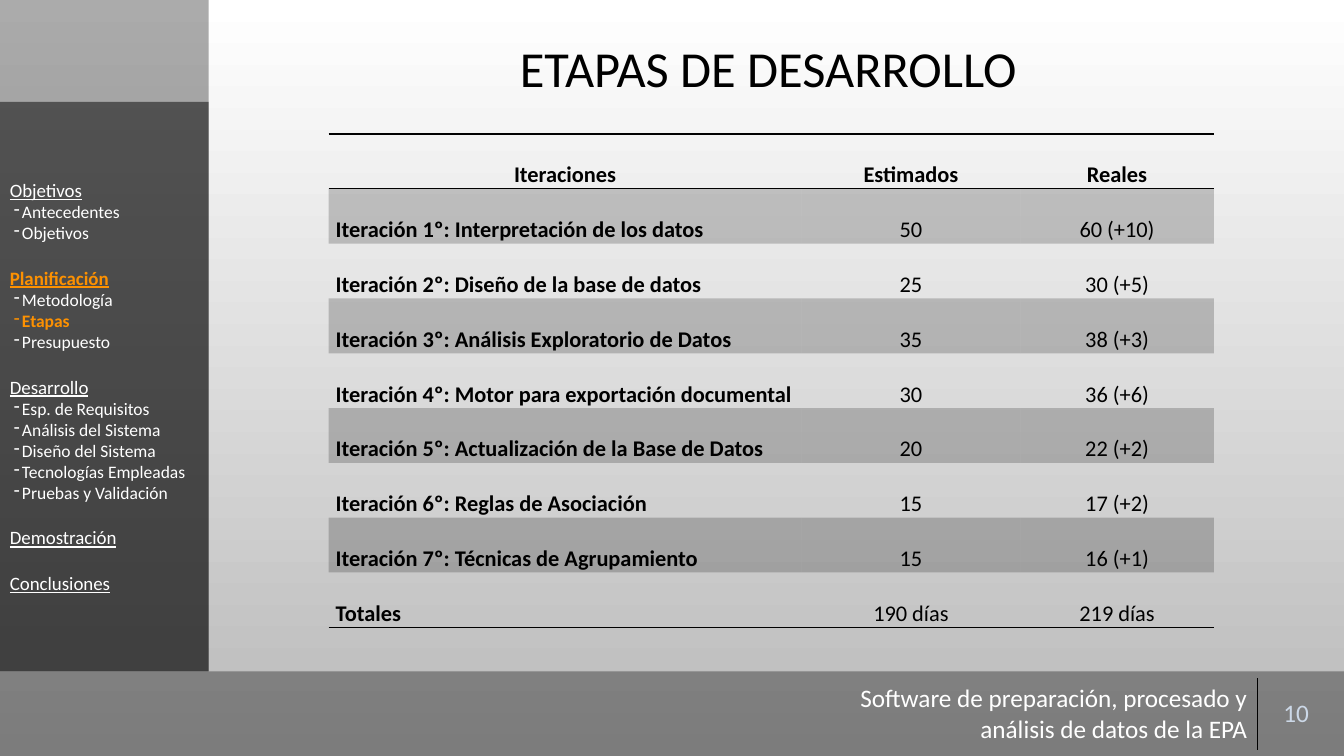
import pptx
import pptx.dml.color
import pptx.enum.shapes
import pptx.enum.text
import pptx.oxml
import pptx.oxml.ns
import pptx.util
from lxml import etree

Inches = pptx.util.Inches
Pt = pptx.util.Pt
ALIGN = pptx.enum.text.PP_ALIGN
MIDDLE = pptx.enum.text.MSO_ANCHOR.MIDDLE
TOP = pptx.enum.text.MSO_ANCHOR.TOP
qn = pptx.oxml.ns.qn

COLOURS = {
    "ink": "000000",
    "light": "FFFFFF",
    "shade": "B9B9B9",
    "active": "FD9101",
    "number": "CCD8E7",
}
FONT = "Calibri"
PLAIN_TABLE = "{2D5ABB26-0587-4C30-8999-92F81FD0307C}"
HEADING_SIZE, ENTRY_SIZE = 13.5, 12.5
SECTION_GAP = 16.5

MENU = {
    "Objetivos": ["Antecedentes", "Objetivos"],
    "Planificación": ["Metodología", "Etapas", "Presupuesto"],
    "Desarrollo": ["Esp. de Requisitos", "Análisis del Sistema", "Diseño del Sistema",
                   "Tecnologías Empleadas", "Pruebas y Validación"],
    "Demostración": [],
    "Conclusiones": [],
}
ACTIVE = ("Planificación", "Etapas")

STAGES = [
    ("Iteraciones", "Estimados", "Reales"),
    ("Iteración 1º: Interpretación de los datos", "50", "60 (+10)"),
    ("Iteración 2º: Diseño de la base de datos", "25", "30 (+5)"),
    ("Iteración 3º: Análisis Exploratorio de Datos", "35", "38 (+3)"),
    ("Iteración 4º: Motor para exportación documental", "30", "36 (+6)"),
    ("Iteración 5º: Actualización de la Base de Datos", "20", "22 (+2)"),
    ("Iteración 6º: Reglas de Asociación", "15", "17 (+2)"),
    ("Iteración 7º: Técnicas de Agrupamiento", "15", "16 (+1)"),
    ("Totales", "190 días", "219 días"),
]


def rgb(name):
    return pptx.dml.color.RGBColor.from_string(COLOURS[name])


def write(para, text, size=16, colour="ink", bold=False, underline=False,
          align=ALIGN.LEFT, spacing=None, before=None, bullet=None):
    if bullet:
        properties = para._p.get_or_add_pPr()
        properties.set("marL", str(Inches(0.12)))
        properties.set("indent", str(Inches(-0.08)))
        etree.SubElement(properties, qn("a:buChar")).set("char", bullet)
    para.alignment = align
    if spacing:
        para.line_spacing = spacing
    if before:
        para.space_before = Pt(before)
    span = para.add_run()
    span.text = text
    span.font.name = FONT
    span.font.size = Pt(size)
    span.font.bold = bold
    span.font.underline = underline
    span.font.color.rgb = rgb(colour)


def fill_veil(fill, holder, percent):
    """Fill with black at the given opacity; holder is the XML parent of the fill."""
    fill.solid()
    fill.fore_color.rgb = rgb("ink")
    colour = holder.find(qn("a:solidFill")).find(qn("a:srgbClr"))
    etree.SubElement(colour, qn("a:alpha")).set("val", str(percent * 1000))


def add_veil(page, box, percent):
    left, top, width, height = map(Inches, box)
    panel = page.shapes.add_shape(
        pptx.enum.shapes.MSO_SHAPE.RECTANGLE, left, top, width, height)
    panel.shadow.inherit = False
    panel.line.fill.background()
    fill_veil(panel.fill, panel._element.spPr, percent)
    return panel


def add_plain_table(page, box, rows, widths):
    left, top, width, height = map(Inches, box)
    table = page.shapes.add_table(rows, len(widths), left, top, width, height).table
    table.first_row = False
    table.horz_banding = False
    table._tbl.tblPr.find(qn("a:tableStyleId")).text = PLAIN_TABLE
    for column, column_width in zip(table.columns, widths):
        column.width = Inches(column_width)
    for row in table.rows:
        row.height = Inches(box[3] / rows)
    return table


def rule_cell(cell, sides):
    """Draw 1 pt lines on the sides named, in the order L, R, T, B."""
    properties = cell._tc.get_or_add_tcPr()
    for side in sides:
        line = etree.SubElement(properties, qn("a:ln" + side))
        line.set("w", str(Pt(1)))
        solid = etree.SubElement(line, qn("a:solidFill"))
        etree.SubElement(solid, qn("a:srgbClr")).set("val", COLOURS["ink"])


def set_background(page):
    fill = page.background.fill
    fill.gradient()
    fill.gradient_angle = 270
    for stop, position, colour in zip(fill.gradient_stops, (0, 1), ("light", "shade")):
        stop.position = position
        stop.color.rgb = rgb(colour)


def add_title(page, box, text):
    title = page.shapes.title
    title.left, title.top, title.width, title.height = map(Inches, box)
    title.text_frame.vertical_anchor = MIDDLE
    write(title.text_frame.paragraphs[0], text, size=36, align=ALIGN.CENTER, spacing=0.9)


def add_stage_table(page, box):
    table = add_plain_table(page, box, len(STAGES), (4.69, 2.17, 1.92))
    last = len(STAGES) - 1
    for row, values in enumerate(STAGES):
        for column, value in enumerate(values):
            cell = table.cell(row, column)
            cell.margin_left = cell.margin_right = Inches(0.07)
            cell.margin_top = cell.margin_bottom = 0
            cell.vertical_anchor = TOP
            rule_cell(cell, "TB" if row == 0 else "B" if row == last else "")
            if row % 2:
                fill_veil(cell.fill, cell._tc.tcPr, 20)
            else:
                cell.fill.background()
            is_label = row > 0 and column == 0
            write(cell.text_frame.paragraphs[0], value, bold=row == 0 or column == 0,
                  align=ALIGN.LEFT if is_label else ALIGN.CENTER, spacing=2.0)


def add_footer(page, box):
    left, top, width, height = box
    add_veil(page, box, 33)
    table_width = 4.85
    table_box = (left + width - table_width - 0.09, top + 0.07, table_width, height - 0.14)
    table = add_plain_table(page, table_box, 1, (4.08, 0.77))
    parts = [
        ("Software de preparación, procesado y análisis de datos de la EPA",
         "light", ALIGN.RIGHT, "R"),
        ("10", "number", ALIGN.CENTER, "L"),
    ]
    for column, (text, colour, align, side) in enumerate(parts):
        cell = table.cell(0, column)
        cell.vertical_anchor = MIDDLE
        rule_cell(cell, side)
        cell.fill.background()
        write(cell.text_frame.paragraphs[0], text, size=18, colour=colour, align=align)


def add_menu(page, box):
    frame = add_veil(page, box, 50).text_frame
    frame.word_wrap = True
    frame.vertical_anchor = MIDDLE
    for index, (heading, entries) in enumerate(MENU.items()):
        para = frame.add_paragraph() if index else frame.paragraphs[0]
        active = heading == ACTIVE[0]
        write(para, heading, size=HEADING_SIZE, underline=True, bold=active,
              colour="active" if active else "light",
              before=SECTION_GAP if index else None)
        for entry in entries:
            active = (heading, entry) == ACTIVE
            write(frame.add_paragraph(), entry, size=ENTRY_SIZE, bold=active,
                  colour="active" if active else "light", bullet="-")


def main():
    deck = pptx.Presentation()
    deck.slide_width, deck.slide_height = Inches(13.33), Inches(7.5)
    page = deck.slides.add_slide(deck.slide_layouts[5])
    set_background(page)
    add_veil(page, (0, 0, 2.07, 6.66), 33)
    add_title(page, (3.89, 0.22, 7.46, 0.97), "ETAPAS DE DESARROLLO")
    add_footer(page, (0, 6.66, 13.33, 0.84))
    add_stage_table(page, (3.26, 1.33, 8.78, 4.89))
    add_menu(page, (0, 1.01, 2.07, 5.65))
    deck.save("out.pptx")


if __name__ == "__main__":
    main()
